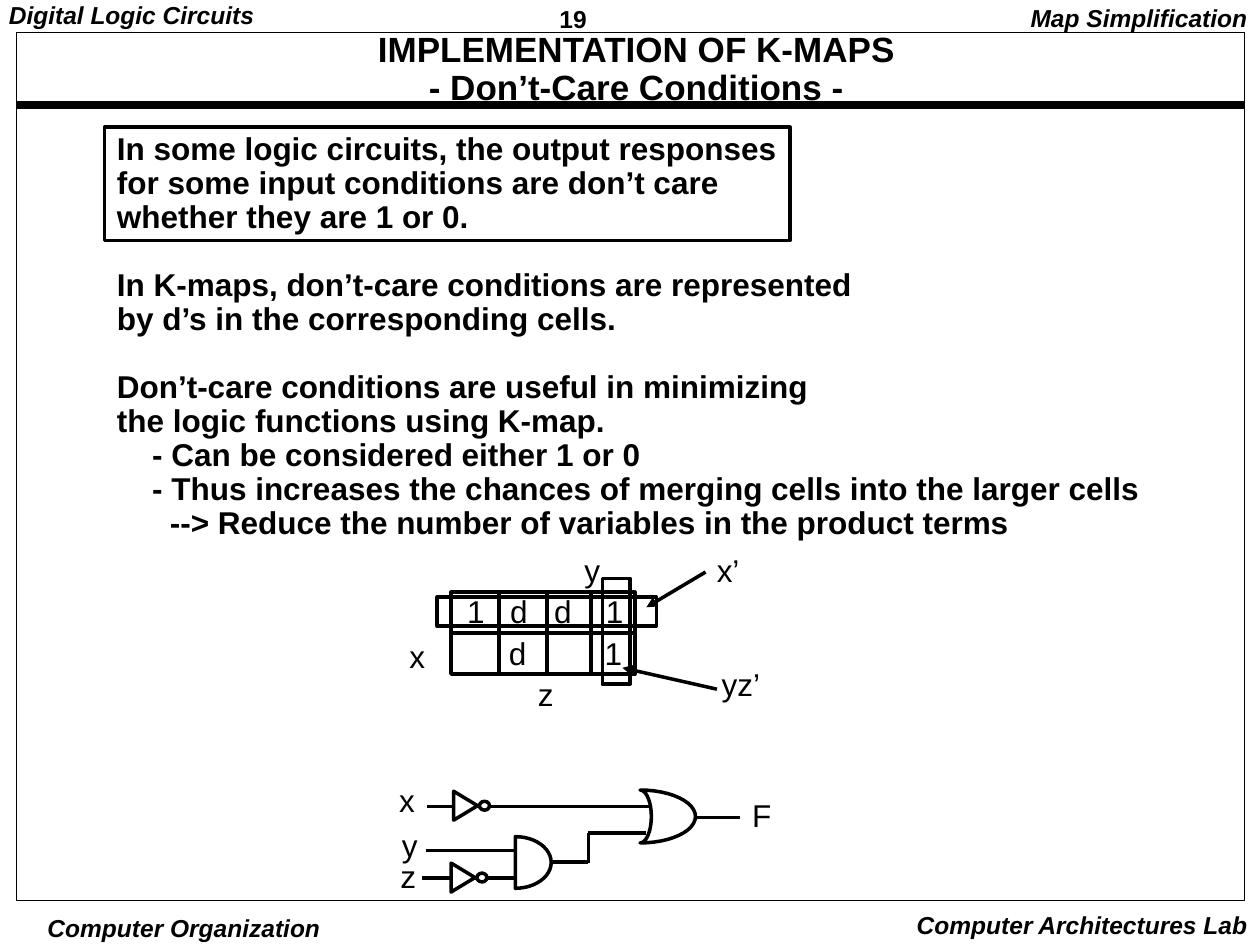
from dataclasses import dataclass
from math import cos, pi, sin

from lxml import etree
from pptx import Presentation
from pptx.dml.color import RGBColor
from pptx.enum.shapes import MSO_CONNECTOR, MSO_SHAPE
from pptx.enum.text import MSO_ANCHOR, MSO_AUTO_SIZE, PP_ALIGN
from pptx.oxml.ns import qn
from pptx.util import Inches, Pt

RECTANGLE = MSO_SHAPE.RECTANGLE
OVAL = MSO_SHAPE.OVAL
TRIANGLE = MSO_SHAPE.ISOSCELES_TRIANGLE
STRAIGHT = MSO_CONNECTOR.STRAIGHT
LEFT, CENTER, RIGHT = PP_ALIGN.LEFT, PP_ALIGN.CENTER, PP_ALIGN.RIGHT
TOP = MSO_ANCHOR.TOP
NO_FIT = MSO_AUTO_SIZE.NONE

COLUMNS, ROWS, UNIT = 100, 75, 0.1
BLACK, WHITE = "000000", "FFFFFF"
LABEL = {"name": "Arial", "size": Pt(18)}
BODY = {**LABEL, "bold": True}
TITLE = {**BODY, "size": Pt(20)}
PAGE_NUMBER = {**BODY, "size": Pt(14)}
CORNER = {**PAGE_NUMBER, "italic": True}
WIDE_INSET, MID_INSET, THIN_INSET = (1, 0.5), (0.7, 0.3), (0.3, 0.1)


@dataclass
class Box:
    left: float
    top: float
    width: float
    height: float

    def inner(self, left, top, width, height):
        return Box(self.left + left, self.top + top, width, height)

    def frame(self):
        return [grid(v) for v in (self.left, self.top, self.width, self.height)]


def grid(units):
    return Inches(units * UNIT)


def color(value):
    return RGBColor.from_string(value)


def style_outline(shape, fill=None, weight=2):
    shape.shadow.inherit = False
    if fill:
        shape.fill.solid()
        shape.fill.fore_color.rgb = color(fill)
    else:
        shape.fill.background()
    shape.line.color.rgb = color(BLACK)
    shape.line.width = Pt(weight)


def add_outline(shapes, kind, box, fill=None, weight=2):
    shape = shapes.add_shape(kind, *box.frame())
    style_outline(shape, fill, weight)
    return shape


def add_line(page, box, start, end, weight=2, arrow=False):
    ends = [grid(v) for x, y in (start, end) for v in (box.left + x, box.top + y)]
    line = page.shapes.add_connector(STRAIGHT, *ends)
    line.line.color.rgb = color(BLACK)
    line.line.width = Pt(weight)
    properties = line._element.spPr
    if arrow:
        etree.SubElement(properties.find(qn("a:ln")), qn("a:tailEnd"), type="triangle")
    etree.SubElement(properties, qn("a:effectLst"))
    return line


def add_tabs(para, stops):
    tabs = etree.SubElement(para._p.get_or_add_pPr(), qn("a:tabLst"))
    for stop in stops:
        etree.SubElement(tabs, qn("a:tab"), pos=str(grid(stop)), algn="l")


def add_text(page, box, lines, style=LABEL, align=LEFT, inset=WIDE_INSET,
             spacing=0.9, wrap=False, tabs=()):
    frame = page.shapes.add_textbox(*box.frame()).text_frame
    side, edge = (grid(v) for v in inset)
    settings = {"word_wrap": wrap, "auto_size": NO_FIT, "vertical_anchor": TOP,
                "margin_left": side, "margin_right": side,
                "margin_top": edge, "margin_bottom": edge}
    for name, value in settings.items():
        setattr(frame, name, value)
    for index, (text, indent, gap) in enumerate(lines):
        para = frame.paragraphs[0] if index == 0 else frame.add_paragraph()
        para.alignment = align
        para.line_spacing = spacing
        if gap:
            para.space_before = Pt(gap)
        if indent:
            para._p.get_or_add_pPr().set("marL", str(grid(indent)))
        if tabs:
            add_tabs(para, tabs)
        para.text = text
        for span in para.runs:
            for name, value in style.items():
                setattr(span.font, name, value)
            span.font.color.rgb = color(BLACK)


def add_label(page, box, text, left, top, width=3.2):
    add_text(page, box.inner(left, top, width, 3.7), [(text, 0, 0)])


def add_page_frame(page, box):
    notes = [
        ("19", (43.7, 0, 10.8, 2.9), PAGE_NUMBER, LEFT, MID_INSET, 1.01),
        ("Digital Logic Circuits", (0, 0, 20.9, 4.8), CORNER, LEFT, MID_INSET, 0.9),
        ("Computer Organization", (3.5, 72.4, 22.2, 2.6), CORNER, CENTER, THIN_INSET, 1),
        ("Computer Architectures Lab", (71.7, 71.7, 28.3, 3.3), CORNER, RIGHT, WIDE_INSET, 1),
        ("Map Simplification", (80.8, 0, 19.2, 3.1), CORNER, RIGHT, WIDE_INSET, 0.9),
    ]
    for text, place, style, align, inset, spacing in notes:
        add_text(page, box.inner(*place), [(text, 0, 0)], style, align, inset, spacing)
    add_line(page, box, (1.3, 8.3), (98.7, 8.3), 4.5)
    add_outline(page.shapes, RECTANGLE, box.inner(1.3, 2.6, 97.5, 68.9), weight=0.5)


def add_title(page, box):
    text = "IMPLEMENTATION OF K-MAPS\v- Don’t-Care Conditions -"
    add_text(page, box, [(text, 0, 0)], TITLE, CENTER, MID_INSET, wrap=True)


def add_explanation(page, box):
    gap = 19.4
    lines = [
        ("In some logic circuits, the output responses", 0, 0),
        ("for some input conditions are don’t care", 0, 0),
        ("whether they are 1 or 0.", 0, 0),
        ("In K-maps, don’t-care conditions are represented", 0, gap),
        ("by d’s in the corresponding cells.", 0, 0),
        ("Don’t-care conditions are useful in minimizing", 0, gap),
        ("the logic functions using K-map.", 0, 0),
        ("- Can be considered either 1 or 0", 2.8, 0),
        ("- Thus increases the chances of merging cells into the larger cells", 2.8, 0),
        ("--> Reduce the number of variables in the product terms", 4.2, 0),
    ]
    add_text(page, box, lines, BODY, wrap=True)
    add_outline(page.shapes, RECTANGLE, box.inner(0, 0, 54.4, 9))


def add_karnaugh_map(page, box):
    left, top, width, height = 4.3, 3.4, 14.6, 6.5
    table = add_outline(page.shapes, RECTANGLE, box.inner(left, top, width, height))
    middle = top + height / 2
    divider = add_line(page, box, (left, middle), (left + width, middle))
    divider.begin_connect(table, 1)
    divider.end_connect(table, 3)
    for column in (8.1, 11.9, 15.4):
        add_line(page, box, (column, top), (column, top + height))
    cells = [("1\td\td\t1", 4.6, 3.2, 14.5, (3.4, 6.9, 11)),
             ("d\t1", 7.9, 6.6, 11, (7.6,))]
    for text, x, y, span_width, tabs in cells:
        add_text(page, box.inner(x, y, span_width, 3.7), [(text, 0, 0)], tabs=tabs)
    for place in ((3.2, 3.8, 17.4, 2.3), (16.3, 2.3, 2.2, 8.4)):
        add_outline(page.shapes, RECTANGLE, box.inner(*place))
    for start, end in (((24.5, 1.8), (19.8, 4.6)), ((25.4, 11.1), (17.9, 9.4))):
        add_line(page, box, start, end, arrow=True)
    for label in (("x", 0, 6.8), ("y", 13.9, 0), ("z", 10.2, 9.8),
                  ("x’", 24.4, 0, 3.8), ("yz’", 24.8, 9, 5)):
        add_label(page, box, *label)


def add_gate(page, box, hollow=0):
    steps = 24
    angles = [pi * step / steps - pi / 2 for step in range(steps + 1)]
    middle, radius = box.top + box.height / 2, box.height / 2
    front = [(box.left + box.width * cos(a), middle + radius * sin(a)) for a in angles]
    back = [(box.left + hollow * cos(a), middle + radius * sin(a))
            for a in reversed(angles)] if hollow else []
    points = [(grid(x), grid(y)) for x, y in front + back]
    builder = page.shapes.build_freeform(*points[0])
    builder.add_line_segments(points[1:], close=True)
    style_outline(builder.convert_to_shape())


def add_inverter(page, box):
    group = page.shapes.add_group_shape()
    triangle = add_outline(group.shapes, TRIANGLE, box.inner(0, 0.2, 2.3, 1.9), WHITE)
    triangle.rotation = 90
    add_outline(group.shapes, OVAL, box.inner(2.25, 0.8, 0.8, 0.7), WHITE)


def add_circuit(page, box):
    wires = [
        ((3.2, 2.2), (21, 2.2)), ((3.1, 5.7), (10.2, 5.7)),
        ((2.8, 7.9), (10.2, 7.9)), ((13, 6.6), (16, 6.6)),
        ((16, 6.7), (16, 4.3)), ((16, 4.3), (20.6, 4.3)),
        ((24.6, 3.1), (28, 3.1)),
    ]
    for start, end in wires:
        add_line(page, box, start, end)
    add_gate(page, box.inner(10.2, 4.6, 2.85, 4.1))
    add_gate(page, box.inner(20.1, 0.9, 4.4, 4.2), hollow=0.9)
    for left, top in ((5.1, 1), (4.9, 6.7)):
        add_inverter(page, box.inner(left, top, 3, 2.3))
    for label in (("x", 0, 0), ("y", 0.2, 3.6), ("z", 0.1, 6.1), ("F", 28, 1.2, 3.5)):
        add_label(page, box, *label)


def main():
    deck = Presentation()
    deck.slide_width, deck.slide_height = grid(COLUMNS), grid(ROWS)
    page = deck.slides.add_slide(deck.slide_layouts[6])
    add_page_frame(page, Box(0, 0, COLUMNS, ROWS))
    add_title(page, Box(3.9, 2.3, 93.2, 6.6))
    add_explanation(page, Box(8.3, 10.1, 85, 33.4))
    add_karnaugh_map(page, Box(31.5, 43.6, 30, 13.5))
    add_circuit(page, Box(30.7, 61.8, 31.5, 9.8))
    deck.save("out.pptx")


if __name__ == "__main__":
    main()
